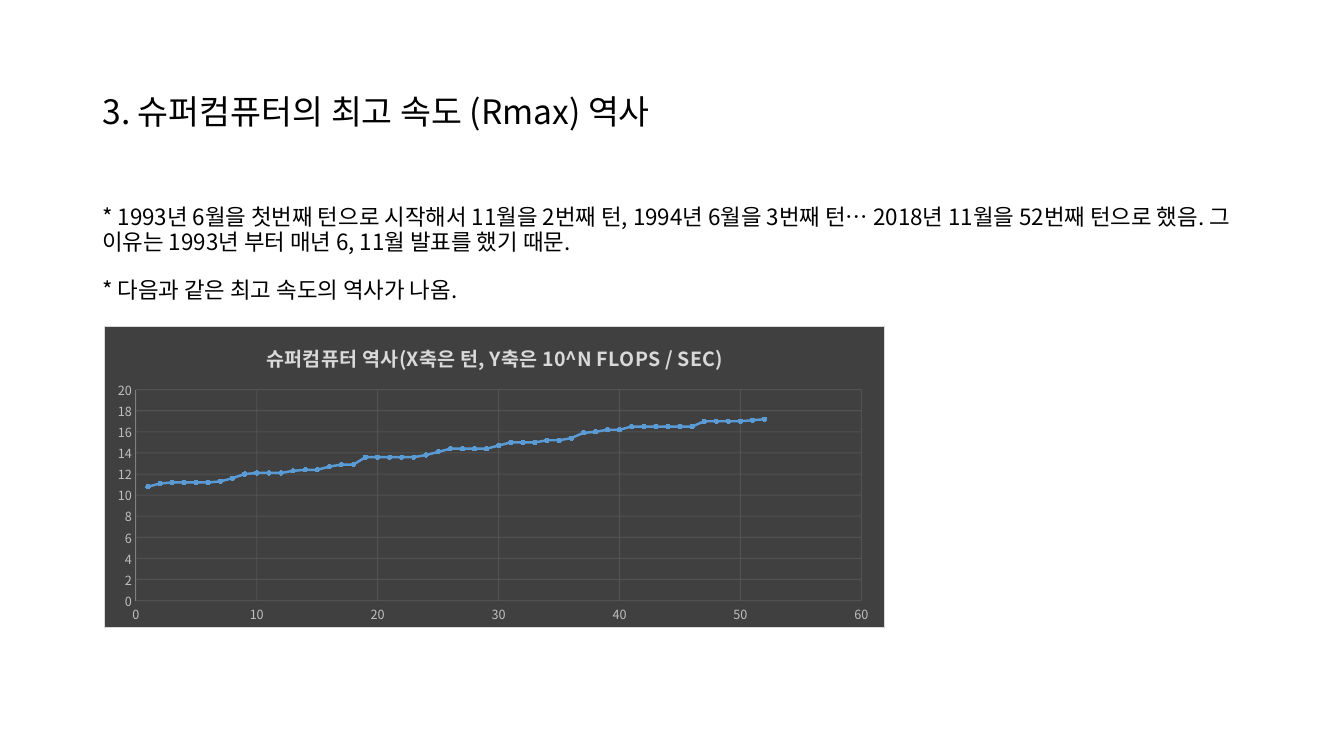
"""Build the slide on the history of supercomputer top speeds."""
from dataclasses import dataclass
from typing import Any, Optional

from lxml.etree import SubElement
from pptx import Presentation
from pptx.chart.data import XyChartData
from pptx.dml.color import RGBColor
from pptx.enum.chart import XL_CHART_TYPE as ChartType, XL_MARKER_STYLE as Marker
from pptx.enum.chart import XL_TICK_MARK as Tick
from pptx.enum.text import MSO_ANCHOR as Anchor, PP_ALIGN as Align
from pptx.oxml import parse_xml
from pptx.oxml.ns import nsdecls, qn
from pptx.util import Inches, Pt

FONT = "Noto Sans CJK KR"
COLORS = {
    "ink": "000000", "panel": "404040", "border": "D9D9D9", "heading": "D9D9D9",
    "label": "BFBFBF", "grid": "595959", "axis": "808080",
    "curve": "5B9BD5", "marker": "9DC3E6",
}
SLIDE_WIDTH, SLIDE_HEIGHT = Inches(13.333), Inches(7.5)
COLUMNS, ROWS = 160, 90

NOTES = (
    "* 1993년 6월을 첫번째 턴으로 시작해서 11월을 2번째 턴, 1994년 6월을 3번째 턴… "
    "2018년 11월을 52번째 턴으로 했음. 그 이유는 1993년 부터 매년 6, 11월 발표를 했기 때문.",
    "* 다음과 같은 최고 속도의 역사가 나옴.",
)
SPEEDS = (
    10.8, 11.1, 11.2, 11.2, 11.2, 11.2, 11.3, 11.6, 12, 12.1, 12.1, 12.1, 12.3,
    12.4, 12.4, 12.7, 12.9, 12.9, 13.6, 13.6, 13.6, 13.6, 13.6, 13.8, 14.1, 14.4,
    14.4, 14.4, 14.4, 14.7, 15, 15, 15, 15.2, 15.2, 15.4, 15.9, 16, 16.2, 16.2,
    16.5, 16.5, 16.5, 16.5, 16.5, 16.5, 17, 17, 17, 17, 17.1, 17.2,
)


@dataclass(frozen=True)
class Area:
    """A place on the slide in grid columns and rows."""
    column: float
    row: float
    columns: float
    rows: float

    def bounds(self) -> tuple[int, int, int, int]:
        """Return left, top, width and height."""
        across, down = SLIDE_WIDTH / COLUMNS, SLIDE_HEIGHT / ROWS
        return (round(self.column * across), round(self.row * down),
                round(self.columns * across), round(self.rows * down))


@dataclass(frozen=True)
class AxisStyle:
    """The scale and line of one chart axis."""
    top: float
    step: float
    line: Optional[str] = None


TITLE_AREA = Area(11, 4.8, 138, 17.4)
NOTES_AREA = Area(11, 24, 138, 57.12)
CHART_AREA = Area(12.4, 38.8, 93, 36)
TURN_AXIS = AxisStyle(60, 10)
SPEED_AXIS = AxisStyle(20, 2, "axis")


def color(name: str) -> RGBColor:
    """Look up a named colour."""
    return RGBColor.from_string(COLORS[name])


def style_font(font: Any, size: float, shade: str, bold: bool = False) -> None:
    """Format a font."""
    font.name, font.size, font.bold = FONT, Pt(size), bold
    font.color.rgb = color(shade)


def write(para: Any, text: str, *, size: float, shade: str = "ink",
          bold: bool = False, spacing: Optional[float] = None,
          before: float = 0, align: Align = Align.LEFT) -> None:
    """Write one formatted span into a paragraph."""
    para.alignment, para.space_before = align, Pt(before)
    if spacing:
        para.line_spacing = spacing
    span = para.add_run()
    span.text = text
    style_font(span.font, size, shade, bold)
    latin = span.font._element.find(qn("a:latin"))
    latin.addnext(parse_xml(f'<a:ea {nsdecls("a")} typeface="{FONT}"/>'))


def place(shape: Any, area: Area) -> None:
    """Move a shape to its area."""
    shape.left, shape.top, shape.width, shape.height = area.bounds()


def style_axis(axis: Any, style: AxisStyle) -> None:
    """Format an axis and its gridlines."""
    axis.minimum_scale, axis.maximum_scale = 0, style.top
    axis.major_unit = style.step
    axis.major_tick_mark = axis.minor_tick_mark = Tick.NONE
    style_font(axis.tick_labels.font, 9, "label")
    axis.tick_labels.number_format = "General"
    axis.tick_labels.number_format_is_linked = False
    axis.has_major_gridlines = True
    grid = axis.major_gridlines.format.line
    grid.width, grid.color.rgb = Pt(0.75), color("grid")
    for shade in axis.major_gridlines._xAx.iter(qn("a:srgbClr")):
        if shade.get("val") == COLORS["grid"]:
            SubElement(shade, qn("a:alpha")).set("val", "75000")
    if style.line:
        axis.format.line.width = Pt(0.75)
        axis.format.line.color.rgb = color(style.line)
    else:
        axis.format.line.fill.background()


def frame_chart(chart: Any) -> None:
    """Fill the chart panel and fix the plot's place in it."""
    chart._chartSpace.find(qn("c:chart")).addnext(parse_xml(
        f'<c:spPr {nsdecls("c", "a")}>'
        f'<a:solidFill><a:srgbClr val="{COLORS["panel"]}"/></a:solidFill>'
        f'<a:ln w="{Pt(0.75)}"><a:solidFill><a:srgbClr val="{COLORS["border"]}"/>'
        '</a:solidFill></a:ln></c:spPr>'))
    plot_area = chart._chartSpace.find(".//" + qn("c:plotArea"))
    for old in plot_area.findall(qn("c:layout")):
        plot_area.remove(old)
    shares = {"x": 0.04, "y": 0.21, "w": 0.93, "h": 0.7}
    sizes = "".join(f'<c:{key} val="{share}"/>' for key, share in shares.items())
    plot_area.insert(0, parse_xml(
        f'<c:layout {nsdecls("c")}><c:manualLayout><c:layoutTarget val="inner"/>'
        f'<c:xMode val="edge"/><c:yMode val="edge"/>{sizes}'
        '</c:manualLayout></c:layout>'))


def add_speed_chart(page: Any) -> None:
    """Draw top speed by turn."""
    data = XyChartData()
    points = data.add_series("Series 1")
    for turn, speed in enumerate(SPEEDS, 1):
        points.add_data_point(turn, speed)
    chart = page.shapes.add_chart(
        ChartType.XY_SCATTER_LINES, *CHART_AREA.bounds(), data).chart
    style_font(chart.font, 10, "ink")
    chart.has_legend = False
    chart.has_title = True
    write(chart.chart_title.text_frame.paragraphs[0],
          "슈퍼컴퓨터 역사(X축은 턴, Y축은 10^N FLOPS / SEC)",
          size=14, shade="heading", bold=True, align=Align.CENTER)
    chart.chart_title.include_in_layout = False
    style_axis(chart.category_axis, TURN_AXIS)
    style_axis(chart.value_axis, SPEED_AXIS)
    chart.plots[0].vary_by_categories = False
    curve = chart.plots[0].series[0]
    curve.smooth = False
    curve.format.line.width = Pt(1.75)
    curve.format.line.color.rgb = color("curve")
    curve.marker.style, curve.marker.size = Marker.CIRCLE, 3
    curve.marker.format.fill.solid()
    curve.marker.format.fill.fore_color.rgb = color("marker")
    curve.marker.format.line.color.rgb = color("curve")
    frame_chart(chart)


def main() -> None:
    """Build and save the deck."""
    deck = Presentation()
    deck.slide_width, deck.slide_height = SLIDE_WIDTH, SLIDE_HEIGHT
    page = deck.slides.add_slide(deck.slide_layouts[5])
    title = page.shapes.title
    place(title, TITLE_AREA)
    title.text_frame.vertical_anchor = Anchor.MIDDLE
    write(title.text_frame.paragraphs[0], "3. 슈퍼컴퓨터의 최고 속도 (Rmax) 역사",
          size=24, spacing=0.9)
    box = page.shapes.add_textbox(*NOTES_AREA.bounds())
    box.text_frame.word_wrap = True
    for index, note in enumerate(NOTES):
        para = box.text_frame.add_paragraph() if index else box.text_frame.paragraphs[0]
        write(para, note, size=16, spacing=0.9, before=17.5 if index else 10)
    add_speed_chart(page)
    deck.save("out.pptx")


if __name__ == "__main__":
    main()
